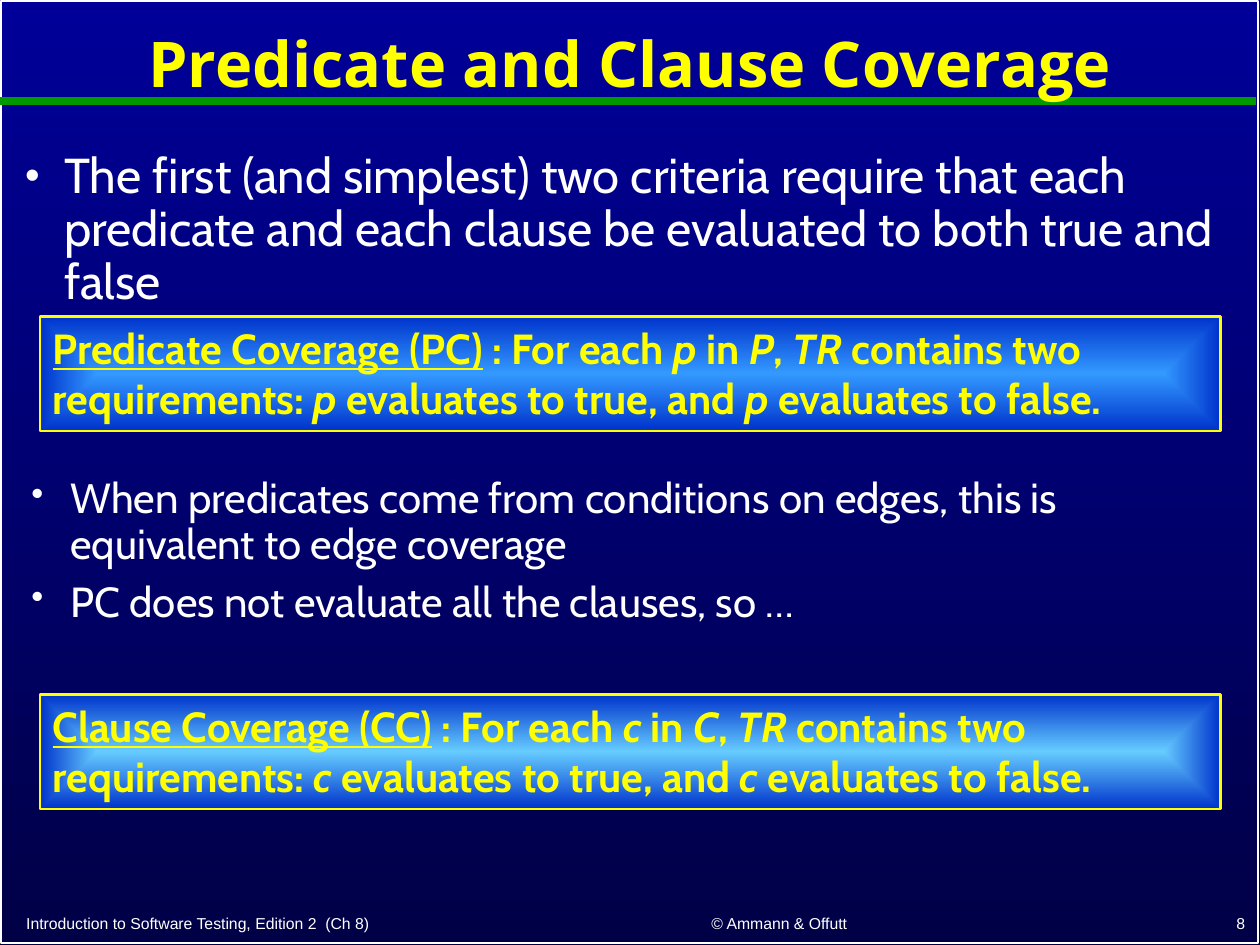
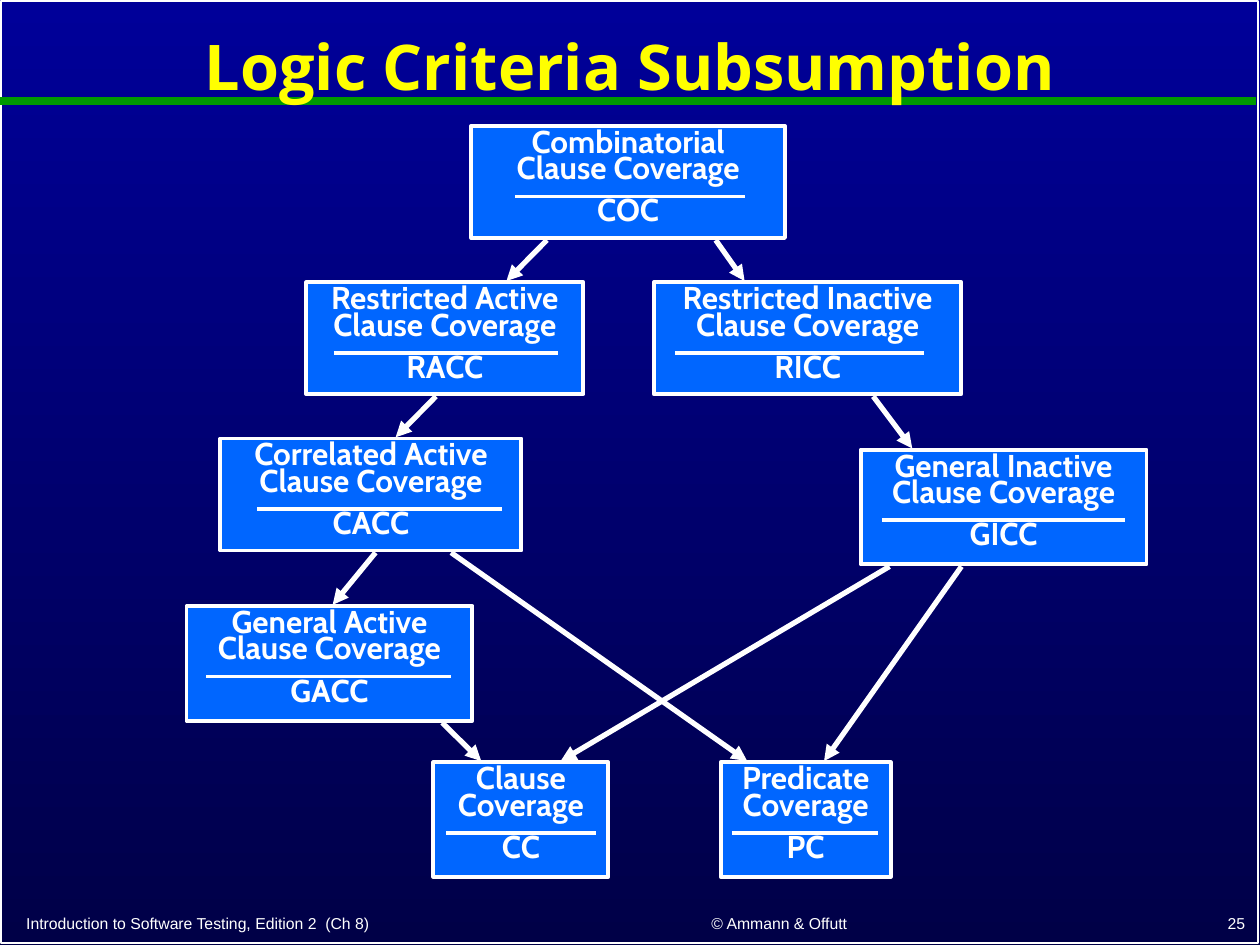
from lxml import etree
from pptx import Presentation
from pptx.dml.color import RGBColor
from pptx.enum import shapes, text
from pptx.oxml.ns import qn
from pptx.util import Pt

# ---- Shared look ----
WHITE, YELLOW, GREEN, BLUE = "FFFFFF", "FFFF00", "009900", "0066FF"
BACKGROUND = ("000099", "000047")
BODY_FONT, TITLE_FONT, FOOTER_FONT = "Cabin", "Open Sans", "Arial"
LEFT, CENTER, RIGHT = text.PP_ALIGN.LEFT, text.PP_ALIGN.CENTER, text.PP_ALIGN.RIGHT
TOP, MIDDLE, BOTTOM = text.MSO_ANCHOR.TOP, text.MSO_ANCHOR.MIDDLE, text.MSO_ANCHOR.BOTTOM
BULLET_INDENT = 22.3

# ---- Content: places are left, top, width, height in points ----
FOOTERS = [
    ("Introduction to Software Testing, Edition 2  (Ch 8)", (7.9, 518.4, 307.4, 18), LEFT),
    ("© Ammann & Offutt", (331.2, 517.7, 228.2, 18.7), CENTER),
]
NUMBER_PLACE = (568.8, 517.7, 149.8, 18.7)

INTRO = ["The first (and simplest) two criteria require that each predicate "
         "and each clause be evaluated to both true and false"]
NOTES = ["When predicates come from conditions on edges, this is equivalent to edge coverage",
         "PC does not evaluate all the clauses, so …"]
# term, item, set of items, top, inner colour
DEFINITIONS = [
    ("Predicate Coverage (PC)", "p", "P", 180.7, "3399FF"),
    ("Clause Coverage (CC)", "c", "C", 396.7, "66CCFF"),
]
# Italic words stand between asterisks
DEFINITION = (" : For each *{0}* in *{1}*, *TR* contains two requirements: "
              "*{0}* evaluates to true, and *{0}* evaluates to false.")

# abbreviation: name, place, ends of the rule under the name
CRITERIA = {
    "CC": ("Clause Coverage", (247.7, 435.6, 100, 65.5), (254.9, 340.6)),
    "PC": ("Predicate Coverage", (411.8, 435.6, 97.2, 65.5), (418.3, 501.8)),
    "COC": ("Combinatorial Clause Coverage", (269.3, 72, 179.3, 64), (294.5, 425.5)),
    "RACC": ("Restricted Active Clause Coverage", (175, 161.3, 158.4, 64), (190.8, 319)),
    "RICC": ("Restricted Inactive Clause Coverage", (373.7, 161.3, 175.7, 64), (385.9, 527.8)),
    "GACC": ("General Active Clause Coverage", (106.6, 346.3, 163.4, 65.5), (118, 257.8)),
    "CACC": ("Correlated Active Clause Coverage", (126, 250.6, 172, 64), (146.9, 286.6)),
    "GICC": ("General Inactive Clause Coverage", (491.8, 257, 163.4, 65.5), (504, 643)),
}
RULE_DROP = 40.3
# subsuming criterion, x at its bottom, subsumed criterion, x at its top
SUBSUMPTIONS = [
    ("COC", 312.5, "RACC", 289.4), ("COC", 409, "RICC", 425.5),
    ("RACC", 249.1, "CACC", 226.1), ("RICC", 499, "GICC", 521.3),
    ("CACC", 214.6, "GACC", 190.1), ("CACC", 257.8, "PC", 427),
    ("GACC", 252.7, "CC", 275), ("GICC", 508.3, "CC", 320.4),
    ("GICC", 549.4, "PC", 470.9),
]


# ---- Helpers ----
def color(hex_value):
    return RGBColor.from_string(hex_value)


def place(shape, box):
    shape.left, shape.top, shape.width, shape.height = map(Pt, box)


def style_run(run, font, size, hex_value, bold=False):
    run.font.name, run.font.size, run.font.bold = font, Pt(size), bold
    run.font.color.rgb = color(hex_value)


def write(shape, lines, font, size, hex_value, bold=False, align=LEFT,
          anchor=TOP, spacing=1.0, gap=0, bullets=False):
    """Fill a shape with paragraphs; gap is a share of the text size."""
    frame = shape.text_frame
    frame.text = "\n".join(lines)
    frame.word_wrap, frame.auto_size = True, text.MSO_AUTO_SIZE.NONE
    frame.vertical_anchor = anchor
    for index, paragraph in enumerate(frame.paragraphs):
        paragraph.alignment, paragraph.line_spacing = align, spacing
        paragraph.space_before = Pt(gap * size if index else 0)
        for run in paragraph.runs:
            style_run(run, font, size, hex_value, bold)
        if bullets:
            add_bullet(paragraph)


def add_bullet(paragraph):
    props = paragraph._p.get_or_add_pPr()
    props.set("marL", str(Pt(BULLET_INDENT)))
    props.set("indent", str(-Pt(BULLET_INDENT)))
    etree.SubElement(props, qn("a:buSzPct")).set("val", "85000")
    etree.SubElement(props, qn("a:buChar")).set("char", "•")


def add_box(slide, box, line, width, fill=None):
    shape = slide.shapes.add_shape(shapes.MSO_SHAPE.RECTANGLE, *map(Pt, box))
    shape.shadow.inherit = False
    shape.line.color.rgb, shape.line.width = color(line), Pt(width)
    if fill:
        shape.fill.solid()
        shape.fill.fore_color.rgb = color(fill)
    else:
        shape.fill.background()
    return shape


def add_line(slide, x1, y1, x2, y2, hex_value, width, arrow=False):
    line = slide.shapes.add_connector(
        shapes.MSO_CONNECTOR.STRAIGHT, Pt(x1), Pt(y1), Pt(x2), Pt(y2))
    line.line.color.rgb, line.line.width = color(hex_value), Pt(width)
    if arrow:
        etree.SubElement(line.line._get_or_add_ln(), qn("a:tailEnd")).set("type", "triangle")
    etree.SubElement(line.element.spPr, qn("a:effectLst"))
    return line


def set_gradient(fill, colors):
    fill.gradient()
    for stop, hex_value in zip(fill.gradient_stops, colors):
        stop.color.rgb = color(hex_value)


def radiate(shape):
    """Let the gradient run from the middle to the edges."""
    gradient = shape.element.spPr.find(qn("a:gradFill"))
    gradient.remove(gradient.find(qn("a:lin")))
    track = etree.SubElement(gradient, qn("a:path"))
    track.set("path", "shape")
    center = etree.SubElement(track, qn("a:fillToRect"))
    for side in "ltrb":
        center.set(side, "50000")


def start_slide(layout, title, title_box, number):
    slide = deck.slides.add_slide(deck.slide_layouts[layout])
    for words, box, align in FOOTERS + [(number, NUMBER_PLACE, RIGHT)]:
        footer = slide.shapes.add_textbox(*map(Pt, box))
        write(footer, [words], FOOTER_FONT, 9, WHITE, align=align, anchor=BOTTOM)
    place(slide.shapes.title, title_box)
    write(slide.shapes.title, [title], TITLE_FONT, 36, YELLOW, bold=True,
          align=CENTER, anchor=MIDDLE, spacing=0.9)
    return slide


deck = Presentation()
deck.slide_width, deck.slide_height = Pt(720), Pt(540)

# ---- Slide 1: the two simplest criteria ----
coverage = start_slide(1, "Predicate and Clause Coverage", (0, 3.6, 720, 69), "8")

# Background, border and title rule belong to the master
master = deck.slide_master
set_gradient(master.background.fill, BACKGROUND)
master.background.fill.gradient_angle = 270
border = add_box(coverage, (0.7, 0.7, 718, 538), WHITE, 1)
title_rule = add_line(coverage, 0, 57.6, 718, 57.6, GREEN, 4.5)
for number, part in enumerate((border, title_rule), 20):
    part.element.xpath(".//p:cNvPr")[0].set("id", str(number))
    master.shapes.element.append(part.element)

intro = coverage.placeholders[1]
place(intro, (7.2, 82.8, 705.6, 64))
write(intro, INTRO, BODY_FONT, 28, WHITE, spacing=0.9, gap=0.3, bullets=True)

for term, item, group, top, inner in DEFINITIONS:
    definition = add_box(coverage, (23, top, 674.6, 65.5), YELLOW, 1.5)
    set_gradient(definition.fill, (inner, "0033CC"))
    radiate(definition)
    write(definition, [term], BODY_FONT, 24, YELLOW, bold=True)
    sentence = definition.text_frame.paragraphs[0]
    sentence.runs[0].font.underline = True
    for index, words in enumerate(DEFINITION.format(item, group).split("*")):
        run = sentence.add_run()
        run.text = words
        style_run(run, BODY_FONT, 24, YELLOW, bold=True)
        run.font.italic = index % 2 == 1

notes = coverage.shapes.add_textbox(*map(Pt, (10.8, 269.3, 698.4, 108)))
write(notes, NOTES, BODY_FONT, 24, WHITE, spacing=0.9, gap=0.3, bullets=True)

# ---- Slide 2: which criterion subsumes which ----
subsumption = start_slide(5, "Logic Criteria Subsumption", (0, 7.9, 720, 64), "25")

for abbreviation, (name, box, (rule_start, rule_end)) in CRITERIA.items():
    criterion = add_box(subsumption, box, WHITE, 2.25, BLUE)
    write(criterion, [name, abbreviation], BODY_FONT, 18, WHITE, bold=True,
          align=CENTER, spacing=0.7, gap=0.5)
    rule_y = box[1] + RULE_DROP
    add_line(subsumption, rule_start, rule_y, rule_end, rule_y, WHITE, 2.25)

for upper, start_x, lower, end_x in SUBSUMPTIONS:
    _, top, _, height = CRITERIA[upper][1]
    add_line(subsumption, start_x, top + height + 1.2, end_x, CRITERIA[lower][1][1] - 0.7,
             WHITE, 3, arrow=True)

deck.save("out.pptx")
